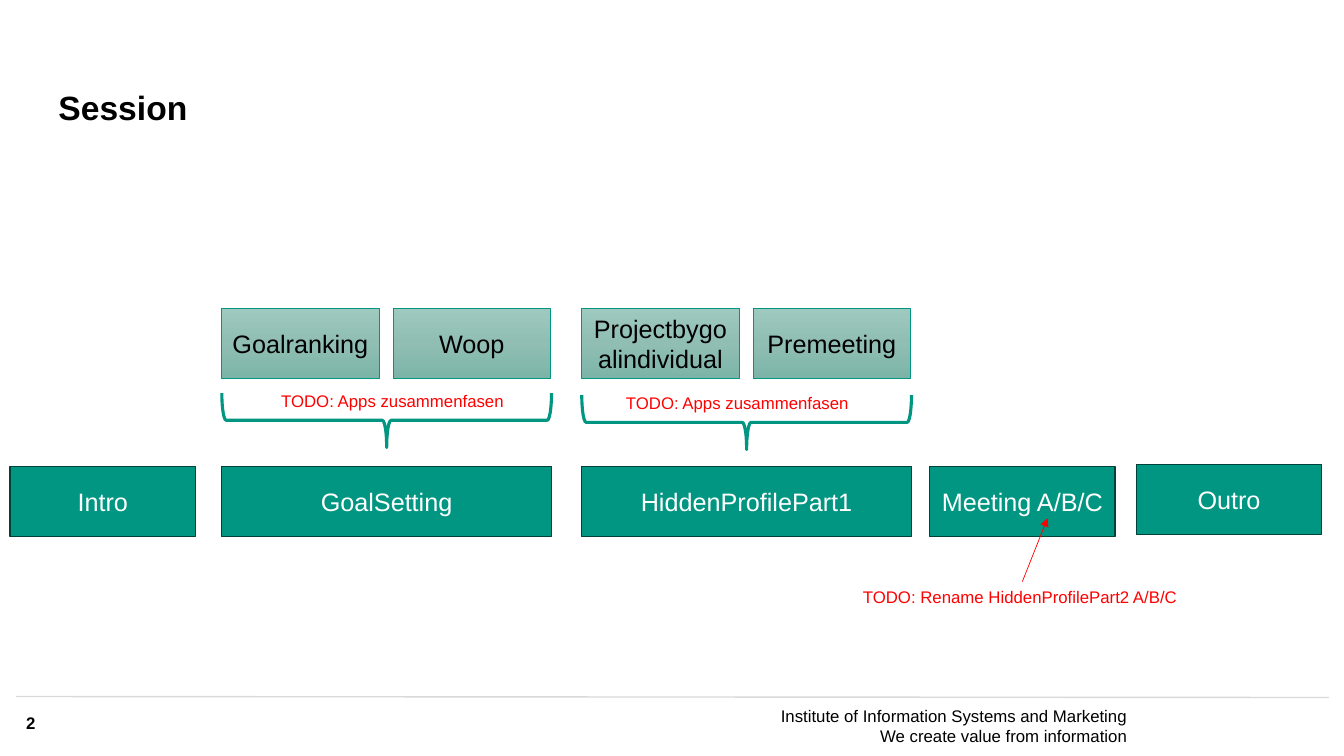
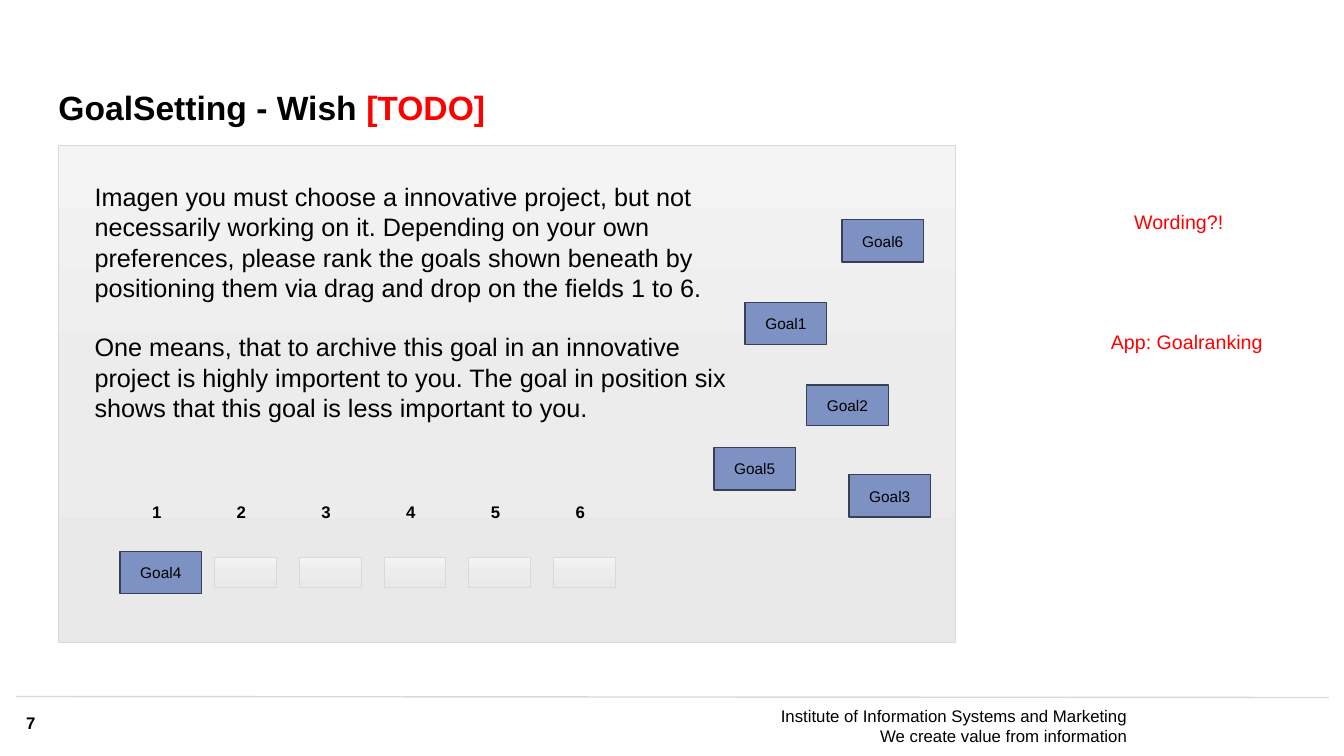
from copy import deepcopy

from lxml import etree
from pptx import Presentation
from pptx.dml.color import RGBColor
from pptx.enum.shapes import MSO_CONNECTOR, MSO_SHAPE
from pptx.enum.text import MSO_ANCHOR, PP_ALIGN
from pptx.oxml.ns import qn
from pptx.util import Inches, Pt

RECT, BRACE = MSO_SHAPE.RECTANGLE, MSO_SHAPE.RIGHT_BRACE
STRAIGHT = MSO_CONNECTOR.STRAIGHT
LEFT, CENTER, RIGHT = PP_ALIGN.LEFT, PP_ALIGN.CENTER, PP_ALIGN.RIGHT
TOP, MIDDLE, BOTTOM = MSO_ANCHOR.TOP, MSO_ANCHOR.MIDDLE, MSO_ANCHOR.BOTTOM

FONT = "Arial"
BLACK, WHITE, RED, RULE = "000000", "FFFFFF", "FF0000", "D9D9D9"
GREEN = "009682"
SOFT_GREEN = ("9DC9BE", "90BEB3", "7CB5A8")
SOFT_GREY = ("F4F4F4", "ECECEC", "E9E9E9")
STAGE = dict(fill=GREEN, line="004239", size=18, color=WHITE)
APP = dict(fill=SOFT_GREEN, line=GREEN, weight=0.5, size=18)
PANEL = dict(fill=SOFT_GREY, line=RULE, weight=0.5)
GOAL = dict(fill="7D92C3", line="374055", size=11)

FOOTER = "Institute of Information Systems and Marketing\vWe create value from information"

STAGES = [
    ("Intro", 0.1, 4.63, 1.84),
    ("GoalSetting", 2.2, 4.63, 3.27),
    ("HiddenProfilePart1", 5.77, 4.63, 3.27),
    ("Meeting A/B/C", 9.22, 4.63, 1.84),
    ("Outro", 11.27, 4.61, 1.84),
]
APP_GROUPS = [
    (2.2, 3.9, 2.69, ("Goalranking", "Woop")),
    (5.77, 3.92, 6.11, ("Projectbygoalindividual", "Premeeting")),
]
MERGE_NOTE = "TODO: Apps zusammenfasen"
RENAME_NOTE = "TODO: Rename HiddenProfilePart2 A/B/C"
BOX_H, APP_W, APP_STEP = 0.69, 1.56, 1.7
BRACE_W, BRACE_H = 3.27, 0.54

INSTRUCTIONS = [
    "Imagen you must choose a innovative project, but not necessarily working on it. "
    "Depending on your own preferences, please rank the goals shown beneath by "
    "positioning them via drag and drop on the fields 1 to 6.",
    "One means, that to archive this goal in an innovative project is highly importent "
    "to you. The goal in position six shows that this goal is less important to you.",
]
GOALS = [
    ("Goal1", 7.39, 3, 0.42),
    ("Goal2", 8, 3.82, 0.4),
    ("Goal3", 8.42, 4.71, 0.42),
    ("Goal4", 1.19, 5.47, 0.42),
    ("Goal5", 7.08, 4.44, 0.42),
    ("Goal6", 8.35, 2.18, 0.42),
]
REMARKS = [("Wording?!", 11.15, 2.03), ("App: Goalranking", 10.92, 3.22)]
RANKS, RANK_STEP = 6, 0.84


def rgb(value):
    return RGBColor.from_string(value)


def write(sp, paragraphs, size=18, color=BLACK, bold=False, align=LEFT,
          anchor=TOP, wrap=True, inset=None, gap=0, spacing=None):
    tf = sp.text_frame
    tf.word_wrap = wrap
    tf.vertical_anchor = anchor
    if inset is not None:
        tf.margin_left = tf.margin_right = tf.margin_top = tf.margin_bottom = Inches(inset)
    for i, runs in enumerate(paragraphs):
        p = tf.add_paragraph() if i else tf.paragraphs[0]
        p.alignment = align
        if i:
            p.space_before = Pt(gap)
        if spacing:
            p.line_spacing = spacing
        for words, run_color in runs:
            for n, part in enumerate(words.split("\v")):
                if n:
                    p.add_line_break()
                r = p.add_run()
                r.text = part
                r.font.name, r.font.size, r.font.bold = FONT, Pt(size), bold
                r.font.color.rgb = rgb(run_color or color)


def text(s, content, x, y, w, h, **fmt):
    sp = s.shapes.add_textbox(Inches(x), Inches(y), Inches(w), Inches(h))
    write(sp, [[(content, None)]] if isinstance(content, str) else content, **fmt)


def paint(sp, fill):
    if fill is None:
        sp.fill.background()
    elif isinstance(fill, str):
        sp.fill.solid()
        sp.fill.fore_color.rgb = rgb(fill)
    else:
        sp.fill.gradient()
        sp.fill.gradient_angle = 270
        first = sp.fill.gradient_stops[0]
        stops = sp.element.spPr.find(qn("a:gradFill")).find(qn("a:gsLst"))
        stops.insert(1, deepcopy(stops[0]))
        for i, stop in enumerate(sp.fill.gradient_stops):
            stop.color.rgb = rgb(fill[i])
            stop.position = i / 2


def shape(s, x, y, w, h, kind=RECT, fill=None, line=GREEN, weight=1, label=None, **fmt):
    sp = s.shapes.add_shape(kind, Inches(x), Inches(y), Inches(w), Inches(h))
    sp.shadow.inherit = False
    paint(sp, fill)
    sp.line.color.rgb = rgb(line)
    sp.line.width = Pt(weight)
    if label:
        write(sp, [[(label, None)]], align=CENTER, anchor=MIDDLE, **fmt)
    return sp


def connect(s, x1, y1, x2, y2, color, weight, arrow=False):
    c = s.shapes.add_connector(STRAIGHT, Inches(x1), Inches(y1), Inches(x2), Inches(y2))
    c.line.color.rgb = rgb(color)
    c.line.width = Pt(weight)
    if arrow:
        etree.SubElement(c.line._get_or_add_ln(), qn("a:tailEnd"), type="triangle")
    etree.SubElement(c.element.spPr, qn("a:effectLst"))


def new_slide(prs, number, title):
    s = prs.slides.add_slide(prs.slide_layouts[6])
    connect(s, 0.16, 6.91, 13.18, 6.92, RULE, 1)
    text(s, FOOTER, 7.19, 7, 3.99, 0.39, size=12, align=RIGHT, inset=0)
    text(s, number, 0.26, 7.07, 0.47, 0.24, size=12, bold=True, inset=0)
    text(s, [title], 0.58, 0.43, 10.02, 0.84, size=24, bold=True,
         anchor=BOTTOM, inset=0, spacing=0.9)
    return s


def session_slide(prs):
    s = new_slide(prs, "2", [("Session", None)])
    for label, x, y, w in STAGES:
        shape(s, x, y, w, BOX_H, label=label, **STAGE)
    for left, top, note_x, apps in APP_GROUPS:
        for i, label in enumerate(apps):
            shape(s, left + i * APP_STEP, 3.06, APP_W, BOX_H, label=label, **APP)
        brace = shape(s, left + (BRACE_W - BRACE_H) / 2, top - (BRACE_W - BRACE_H) / 2,
                      BRACE_H, BRACE_W, kind=BRACE, weight=2.25)
        brace.rotation = 90
        brace.adjustments[0], brace.adjustments[1] = 0.08, 0.5
        text(s, MERGE_NOTE, note_x, top - 0.07, 2.43, 0.3, size=12, color=RED, wrap=False)
    text(s, RENAME_NOTE, 8.46, 5.77, 3.35, 0.3, size=12, color=RED, wrap=False)
    connect(s, 10.14, 5.77, 10.39, 5.14, RED, 0.5, arrow=True)


def wish_slide(prs):
    s = new_slide(prs, "7", [("GoalSetting - Wish ", None), ("[TODO]", RED)])
    shape(s, 0.58, 1.44, 8.9, 4.93, **PANEL)
    text(s, [[(words, None)] for words in INSTRUCTIONS], 0.84, 1.75, 6.7, 2.86, gap=21)
    for i in range(RANKS):
        text(s, str(i + 1), 1.41 + i * RANK_STEP, 4.93, 0.37, 0.48, size=12, bold=True)
        if i:
            shape(s, 1.29 + i * RANK_STEP, 5.53, 0.61, 0.3, **PANEL)
    for label, x, y, h in GOALS:
        shape(s, x, y, 0.81, h, label=label, **GOAL)
    for words, x, y in REMARKS:
        text(s, words, x, y, 1.84, 0.34, size=14, color=RED)


def main():
    prs = Presentation()
    prs.slide_width, prs.slide_height = Inches(13.33), Inches(7.5)
    session_slide(prs)
    wish_slide(prs)
    prs.save("out.pptx")


if __name__ == "__main__":
    main()
